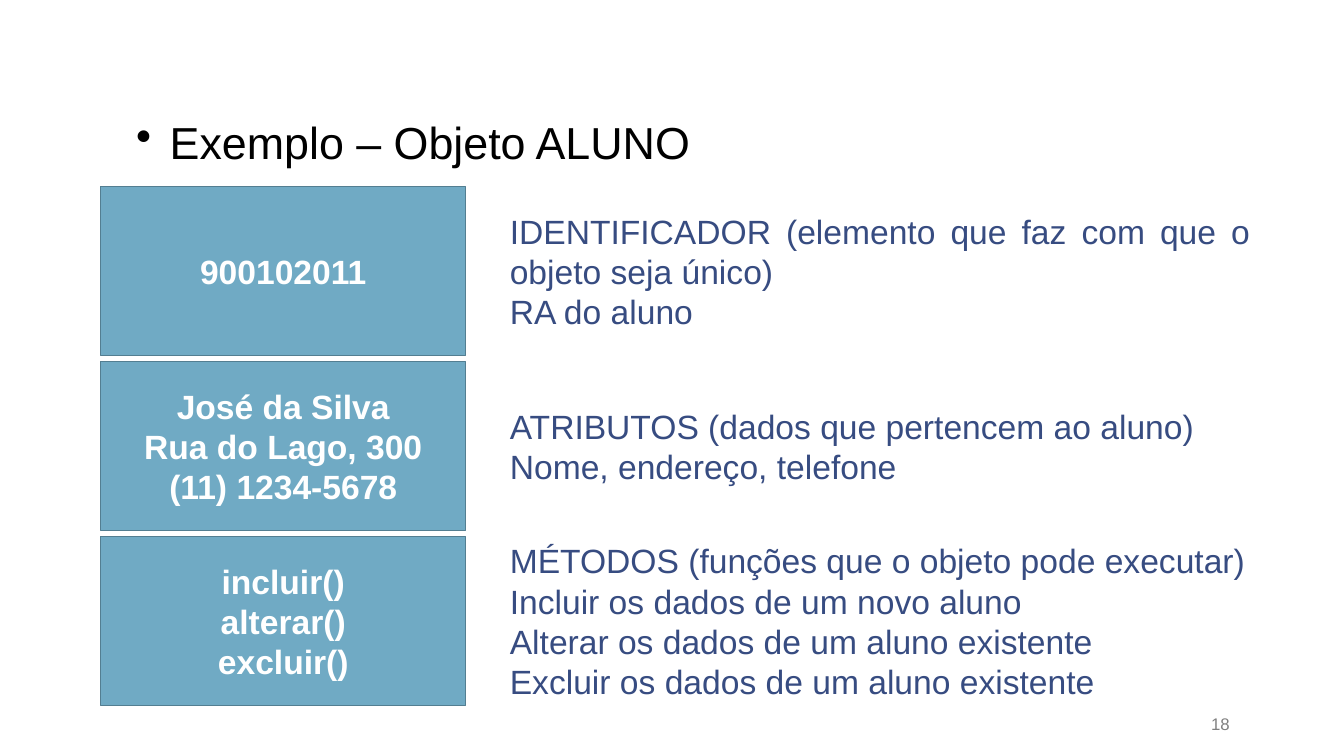
from dataclasses import dataclass

from lxml import etree
from pptx import Presentation
from pptx import util as u
from pptx.dml import color
from pptx.enum import shapes, text
from pptx.oxml import ns

Pt = u.Pt
ALIGN = text.PP_ALIGN
ANCHOR = text.MSO_ANCHOR


@dataclass(frozen=True)
class Theme:
    """Colours, font and type sizes of the slide."""
    font: str = "Arial"
    black: str = "000000"
    white: str = "FFFFFF"
    card: str = "70AAC4"
    edge: str = "537E91"
    navy: str = "374C81"
    grey: str = "808080"
    heading: int = 32
    body: int = 24
    small: int = 12


T = Theme()
WIDE_INSETS = (9.36, 5.04)
CARD_INSETS = (7.2, 3.6)

ROWS = [
    (["900102011"],
     ["IDENTIFICADOR (elemento que faz com que o objeto seja único)",
      "RA do aluno"]),
    (["José da Silva", "Rua do Lago, 300", "(11) 1234-5678"],
     ["ATRIBUTOS (dados que pertencem ao aluno)",
      "Nome, endereço, telefone"]),
    (["incluir()", "alterar()", "excluir()"],
     ["MÉTODOS (funções que o objeto pode executar)",
      "Incluir os dados de um novo aluno",
      "Alterar os dados de um aluno existente",
      "Excluir os dados de um aluno existente"]),
]


def rgb(value):
    """Turn a hex string into a colour."""
    return color.RGBColor.from_string(value)


def write(sp, lines, size=T.body, colour=T.black, bold=False, align=ALIGN.LEFT,
          anchor=ANCHOR.MIDDLE, insets=CARD_INSETS, spacing=1.0):
    """Fill a shape with formatted paragraphs, one per line."""
    tf = sp.text_frame
    tf.word_wrap = True
    tf.auto_size = text.MSO_AUTO_SIZE.NONE
    tf.vertical_anchor = anchor
    tf.margin_left = tf.margin_right = Pt(insets[0])
    tf.margin_top = tf.margin_bottom = Pt(insets[1])
    for i, line in enumerate(lines):
        p = tf.paragraphs[0] if i == 0 else tf.add_paragraph()
        p.alignment = align
        p.line_spacing = spacing
        r = p.add_run()
        r.text = line
        r.font.name, r.font.size, r.font.bold = T.font, Pt(size), bold
        r.font.color.rgb = rgb(colour)
    return tf


def add_heading(s, box, line):
    """Place the bulleted heading in the title placeholder."""
    sp = s.shapes.title
    sp.left, sp.top, sp.width, sp.height = map(Pt, box)
    tf = write(sp, [line], size=T.heading, align=ALIGN.JUSTIFY,
               anchor=ANCHOR.TOP, insets=WIDE_INSETS, spacing=1.5)
    pPr = tf.paragraphs[0]._p.get_or_add_pPr()
    pPr.set("marL", str(Pt(24)))
    pPr.set("indent", str(Pt(-24)))
    etree.SubElement(pPr, ns.qn("a:buChar")).set("char", "•")


def add_panel(group, box, lines, fill, edge=None, **fmt):
    """Add one filled rectangle with its text."""
    sp = group.shapes.add_shape(shapes.MSO_SHAPE.RECTANGLE, *map(Pt, box))
    sp.shadow.inherit = False
    sp.fill.solid()
    sp.fill.fore_color.rgb = rgb(fill)
    if edge:
        sp.line.color.rgb = rgb(edge)
        sp.line.width = Pt(1)
    else:
        sp.line.fill.background()
    write(sp, lines, **fmt)


def add_object_rows(s, box, rows, card_width=260.64, gutter=24.48, gap=4):
    """Stack the object's cards, each beside its explanation."""
    left, top, width, height = box
    row_height = (height - gap * (len(rows) - 1)) / len(rows)
    offset = card_width + gutter
    group = s.shapes.add_group_shape()
    for i, (values, notes) in enumerate(rows):
        y = top + i * (row_height + gap)
        add_panel(group, (left, y, card_width, row_height), values, T.card,
                  T.edge, colour=T.white, bold=True, align=ALIGN.CENTER)
        add_panel(group, (left + offset, y, width - offset, row_height), notes,
                  T.white, colour=T.navy, align=ALIGN.JUSTIFY)


def add_page_number(s, box, number):
    """Add the page number at the lower right."""
    sp = s.shapes.add_textbox(*map(Pt, box))
    write(sp, [number], size=T.small, colour=T.grey, align=ALIGN.RIGHT,
          anchor=ANCHOR.BOTTOM, insets=WIDE_INSETS)


def main():
    """Build the slide and save it."""
    prs = Presentation()
    prs.slide_width, prs.slide_height = Pt(960), Pt(540)
    s = prs.slides.add_slide(prs.slide_layouts[5])
    add_heading(s, (87.84, 57.6, 800, 428.4), "Exemplo – Objeto ALUNO")
    add_page_number(s, (800.64, 504, 87.12, 25.2), "18")
    add_object_rows(s, (72, 133.2, 828, 370.8), ROWS)
    prs.save("out.pptx")


if __name__ == "__main__":
    main()
